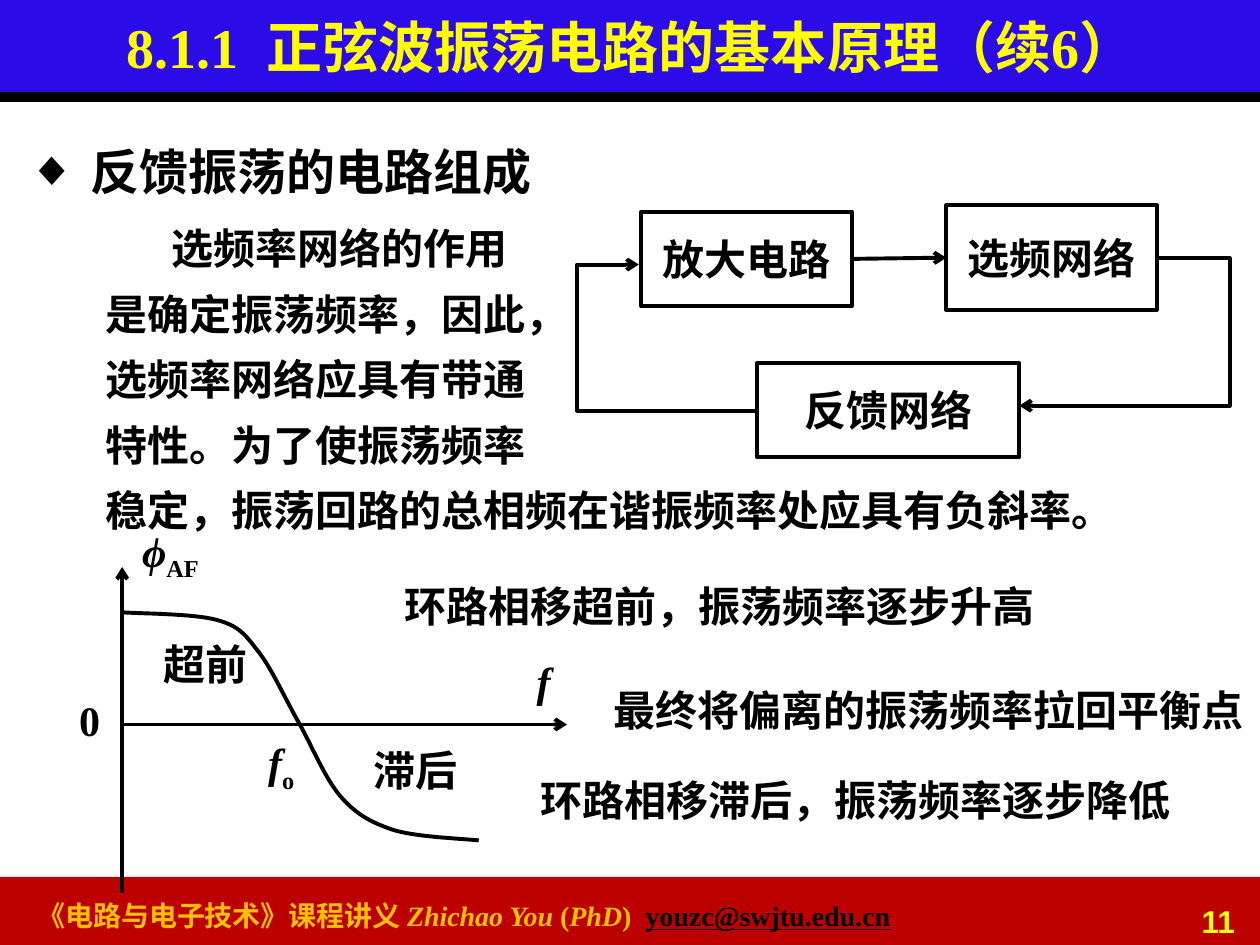
"""Build the slide on feedback oscillators: loop diagram, phase curve and notes."""
from pptx import Presentation, util as u
from pptx.dml.color import RGBColor
from pptx.enum import shapes as sh, text as tx
from pptx.oxml.ns import qn
from lxml import etree

CELL = u.Inches(0.1)
SERIF = "Times New Roman"
BLACK, YELLOW, GOLD = "000000", "FFFF00", "FFC000"


def cells(*nums):
    """Turn grid columns and rows into lengths."""
    return [round(n * CELL) for n in nums]


def paint(hue):
    """Return the colour of a hex string."""
    return RGBColor.from_string(hue)


def style(run, size=24, hue=BLACK, face=SERIF, italic=None, line=None, sub=False):
    """Format one run in bold."""
    font = run.font
    font.size, font.name, font.bold = u.Pt(size), face, True
    font.italic, font.underline = italic, line
    font.color.rgb = paint(hue)
    if sub:
        run._r.get_or_add_rPr().set("baseline", "-25000")


def write(para, words, **look):
    """Put plain words in a paragraph and format them."""
    para.text = words
    for run in para.runs:
        style(run, **look)


def mix(para, parts, **look):
    """Put runs with their own looks in a paragraph."""
    for words, own in parts:
        run = para.add_run()
        run.text = words
        style(run, **{**look, **own})


def label(slide, at, words="", wrap=False, **look):
    """Add a text box and return its paragraph."""
    frame = slide.shapes.add_textbox(*cells(*at)).text_frame
    frame.word_wrap = wrap
    para = frame.paragraphs[0]
    if words:
        write(para, words, **look)
    return para


def bar(slide, at, hue):
    """Add a plain coloured band."""
    band = slide.shapes.add_shape(sh.MSO_SHAPE.RECTANGLE, *cells(*at))
    band.shadow.inherit = False
    band.fill.solid()
    band.fill.fore_color.rgb = paint(hue)
    band.line.fill.background()


def block(slide, at, words):
    """Add an outlined block of the loop."""
    box = slide.shapes.add_shape(sh.MSO_SHAPE.RECTANGLE, *cells(*at))
    box.shadow.inherit = False
    box.fill.background()
    ink(box)
    frame = box.text_frame
    frame.word_wrap = False
    frame.vertical_anchor = tx.MSO_ANCHOR.MIDDLE
    frame.margin_left = frame.margin_right = 0
    frame.margin_top = frame.margin_bottom = 0
    write(frame.paragraphs[0], words)
    frame.paragraphs[0].alignment = tx.PP_ALIGN.CENTER
    return box


def ink(item, end=None):
    """Give a black line with an arrowhead at the named end."""
    item.line.color.rgb = paint(BLACK)
    item.line.width = u.Pt(2.25)
    if end:
        etree.SubElement(item.line._get_or_add_ln(), qn("a:" + end), type="arrow")


def arrow(slide, *ends):
    """Add a straight arrow."""
    link = slide.shapes.add_connector(sh.MSO_CONNECTOR.STRAIGHT, *cells(*ends))
    ink(link, "tailEnd")
    etree.SubElement(link._element.spPr, qn("a:effectLst"))
    return link


def trace(slide, points, end=None):
    """Add an open outline through the points."""
    first, *rest = [cells(*p) for p in points]
    pen = slide.shapes.build_freeform(*first)
    pen.add_line_segments(rest, close=False)
    item = pen.convert_to_shape()
    item.shadow.inherit = False
    item.fill.background()
    ink(item, end)


def bend(knots, steps=16):
    """Return points along chained cubic curves."""
    points = [knots[0]]
    for i in range(0, len(knots) - 1, 3):
        for t in (n / steps for n in range(1, steps + 1)):
            s = 1 - t
            mass = (s ** 3, 3 * s * s * t, 3 * s * t * t, t ** 3)
            points.append([sum(m * k[axis] for m, k in zip(mass, knots[i:i + 4]))
                           for axis in (0, 1)])
    return points


def place(shape, at):
    """Move a placeholder to the front and to its cells."""
    shape.left, shape.top, shape.width, shape.height = cells(*at)
    shape.element.getparent().append(shape.element)
    return shape.text_frame


def heads(slide):
    """Fill the title and the bulleted heading."""
    frame = place(slide.shapes.title, (0, 0, 100.2, 7.3))
    frame.vertical_anchor = tx.MSO_ANCHOR.MIDDLE
    para = frame.paragraphs[0]
    write(para, "8.1.1  正弦波振荡电路的基本原理（续6）", size=32, hue=YELLOW)
    para.alignment = tx.PP_ALIGN.CENTER
    para = place(slide.placeholders[1], (1.2, 8.4, 97.2, 60.6)).paragraphs[0]
    props = para._p.get_or_add_pPr()
    props.set("marL", str(5 * CELL))
    props.set("indent", str(-5 * CELL))
    etree.SubElement(props, qn("a:buChar"), char="◆")
    write(para, "反馈振荡的电路组成", size=28)
    para.line_spacing, para.space_before = 1.5, u.Pt(0)


def frame(slide):
    """Draw the bands, the footer and the page number."""
    bar(slide, (-0.2, 69.6, 100.4, 5.6), "BC0000")
    bar(slide, (-0.2, 0, 100.4, 7.6), "2B0CE8")
    bar(slide, (-0.1, 7.3, 100.2, 0.8), BLACK)
    foot = label(slide, (2, 70.8, 88.2, 3.7), wrap=True)
    mix(foot, [("《电路与电子技术》课程讲义 ", {}), ("Zhichao You ", {"italic": True}),
               ("(", {}), ("PhD", {"italic": True}), (")  ", {}),
               ("youzc@swjtu.edu.cn", {"hue": BLACK, "line": True})],
        size=16, hue=GOLD)
    page = label(slide, (89.6, 71.1, 9.4, 3.1), "11", True,
                 size=18, hue=YELLOW, face="Arial")
    page.alignment = tx.PP_ALIGN.RIGHT


def loop(slide):
    """Draw the feedback loop."""
    amp = block(slide, (50.9, 16.8, 16.7, 7.5), "放大电路")
    pick = block(slide, (75.1, 16.3, 16.7, 8.3), "选频网络")
    block(slide, (60.1, 28.8, 20.8, 7.5), "反馈网络")
    trace(slide, [(91.7, 20.5), (97.6, 20.5), (97.6, 32.2), (80.9, 32.2)], "tailEnd")
    trace(slide, [(50.7, 21), (45.8, 21), (45.8, 32.6), (59.9, 32.6)], "headEnd")
    link = arrow(slide, 67.6, 20.5, 75.1, 20.5)
    link.begin_connect(amp, 3)
    link.end_connect(pick, 1)


def phase(slide):
    """Draw the phase curve with its axes and labels."""
    arrow(slide, 9.7, 57.5, 45, 57.5)
    arrow(slide, 9.7, 70.9, 9.7, 45)
    trace(slide, bend([
        (9.7, 48.6), (11, 48.7), (15.4, 48.7), (17.2, 49.2), (19, 49.7),
        (19.4, 50.3), (20.5, 51.7), (21.6, 53.1), (22.7, 55.6), (23.8, 57.5),
        (24.9, 59.5), (25.9, 62), (27.2, 63.4), (28.4, 64.7), (29.5, 65.3),
        (31.3, 65.9), (33.1, 66.4), (35.6, 66.5), (38, 66.7)]))
    label(slide, (41.6, 51.5, 3.1, 5), "f", italic=True)
    for at, sign, sub in (((10.3, 41.2, 7, 5), "ϕ", "AF"), ((20.3, 58, 4.2, 5), "f", "o")):
        mix(label(slide, at), [(sign, {"italic": True}), (sub, {"sub": True})])
    label(slide, (5.3, 54.6, 3.7, 5), "0")
    label(slide, (28.7, 58.6, 8.7, 5), "滞后")
    label(slide, (12, 50.2, 8.7, 5), "超前")


def notes(slide):
    """Write the explanation and the three remarks."""
    lines = ("选频率网络的作用", "是确定振荡频率，因此，", "选频率网络应具有带通",
             "特性。为了使振荡频率", "稳定，振荡回路的总相频在谐振频率处应具有负斜率。")
    para = label(slide, (7.4, 16, 92.6, 27), "\n".join(lines), True)
    para.line_spacing = 1.3
    para._p.get_or_add_pPr().set("indent", str(round(5.2 * CELL)))
    for col, row, words in ((31.1, 45.6, "环路相移超前，振荡频率逐步升高"),
                            (41.9, 61, "环路相移滞后，振荡频率逐步降低"),
                            (47.7, 53.8, "最终将偏离的振荡频率拉回平衡点")):
        label(slide, (col, row, 52.3, 5), words)


def main():
    """Build and save the slide."""
    prs = Presentation()
    prs.slide_width, prs.slide_height = cells(100, 75)
    slide = prs.slides.add_slide(prs.slide_layouts[1])
    for draw in (frame, heads, loop, notes, phase):
        draw(slide)
    prs.save("out.pptx")


if __name__ == "__main__":
    main()
